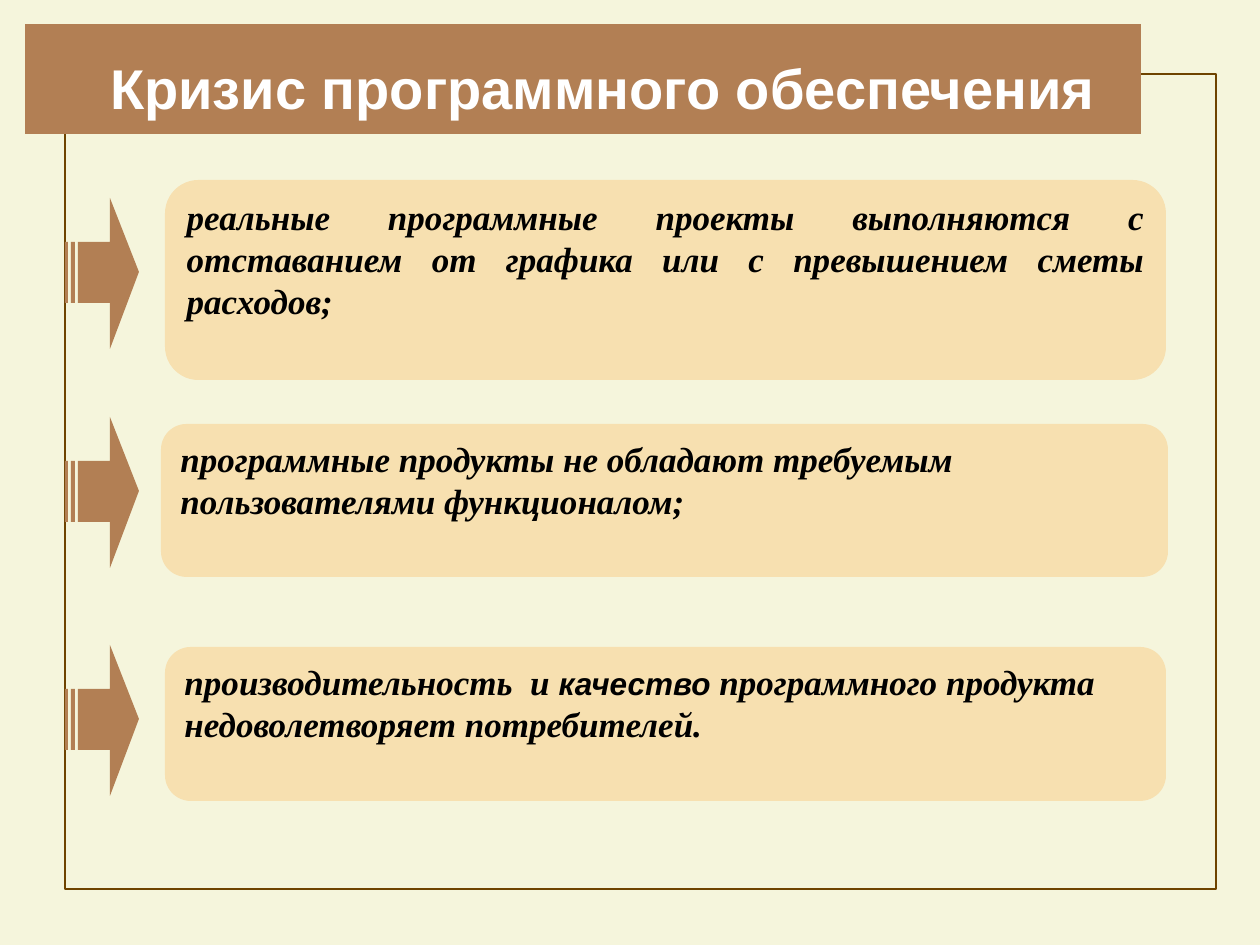
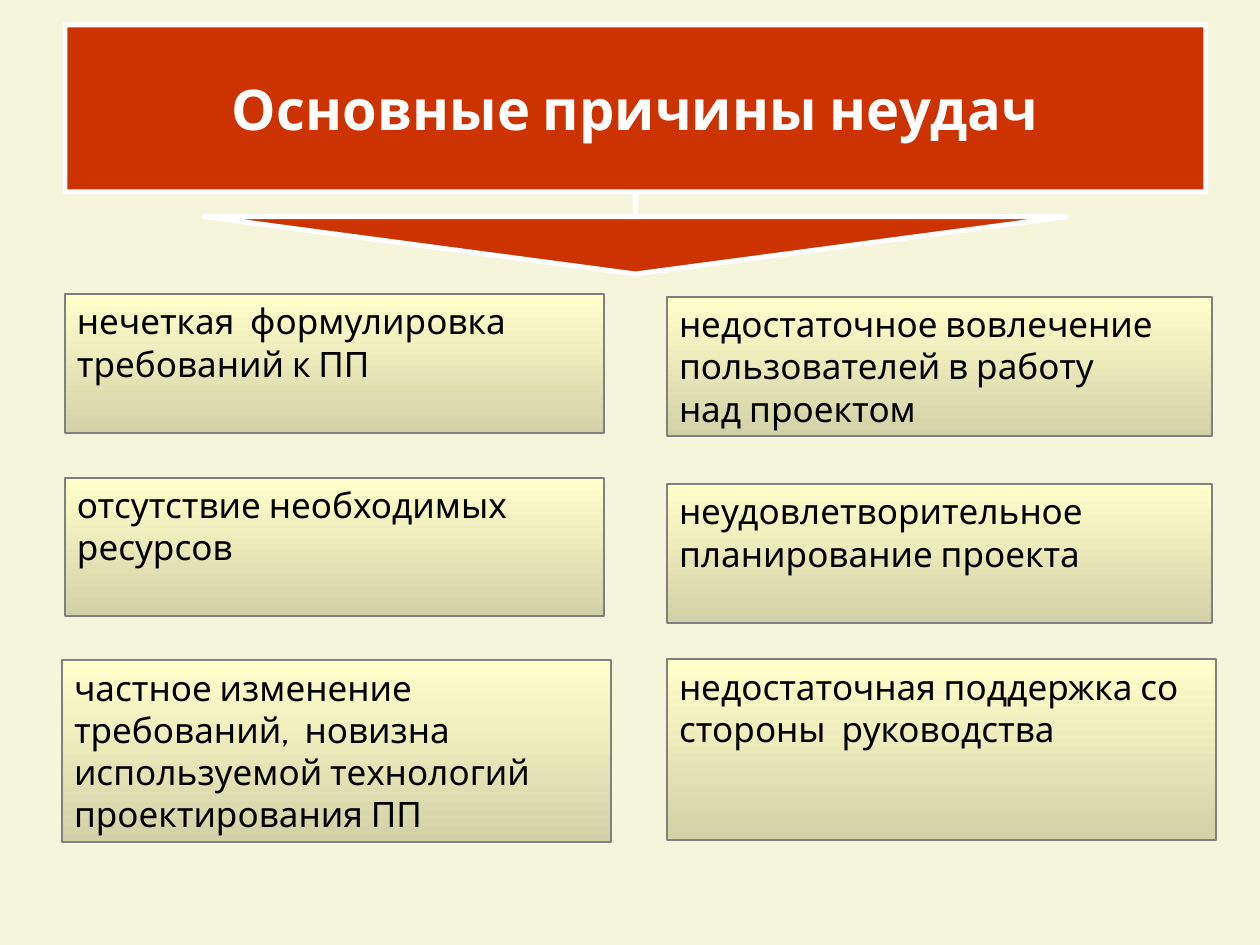
from pptx import Presentation
from pptx.dml.color import RGBColor
from pptx.enum.shapes import MSO_SHAPE
from pptx.enum.text import MSO_ANCHOR, MSO_AUTO_SIZE, PP_ALIGN
from pptx.util import Emu, Pt

# Shared palette, fonts and scale
CREAM = RGBColor(0xF5, 0xF5, 0xDC)
BROWN = RGBColor(0xB2, 0x7F, 0x54)
DARK_BROWN = RGBColor(0x6E, 0x43, 0x00)
SAND = RGBColor(0xF7, 0xE0, 0xB0)
RED = RGBColor(0xCC, 0x33, 0x00)
PALE_YELLOW = RGBColor(0xFF, 0xFF, 0xCC)
OLIVE = RGBColor(0xD2, 0xD2, 0xA8)
GREY = RGBColor(0x80, 0x80, 0x80)
WHITE = RGBColor(0xFF, 0xFF, 0xFF)
BLACK = RGBColor(0x00, 0x00, 0x00)
SERIF, SANS, CABIN = "Times New Roman", "Arial", "Cabin"
EMU_PER_PX = 914400 / 126


def px(length):
    return Emu(round(length * EMU_PER_PX))


def add_card(slide, kind, box, paragraphs, emphasis=False, align=PP_ALIGN.LEFT):
    """Add a card; each paragraph is a list of (text, font, size) runs."""
    card = slide.shapes.add_shape(kind, *map(px, box))
    card.shadow.inherit = False
    frame = card.text_frame
    frame.word_wrap = True
    frame.vertical_anchor = MSO_ANCHOR.TOP
    frame.margin_left = frame.margin_right = px(12)
    frame.margin_top = frame.margin_bottom = px(6)
    for index, runs in enumerate(paragraphs):
        paragraph = frame.add_paragraph() if index else frame.paragraphs[0]
        paragraph.alignment = align
        paragraph.line_spacing = Pt(24)
        for text, font, size in runs:
            run = paragraph.add_run()
            run.text = text
            run.font.name = font
            run.font.size = Pt(size)
            run.font.bold = run.font.italic = emphasis
            run.font.color.rgb = BLACK
    return card


presentation = Presentation()
presentation.slide_width, presentation.slide_height = px(1260), px(945)
background = presentation.slide_master.background.fill
background.solid()
background.fore_color.rgb = CREAM

# Titles of both slides: text, font, place, left and top inset
TITLES = [
    ("Кризис программного обеспечения", SANS, (25, 24, 1116, 110), 40, 16),
    ("Основные причины неудач", CABIN, (65, 25, 1141, 166), 0, 0),
]
slides = []
for text, font, box, inset_left, inset_top in TITLES:
    slide = presentation.slides.add_slide(presentation.slide_layouts[5])
    slides.append(slide)
    title = slide.shapes.title
    title.left, title.top, title.width, title.height = map(px, box)
    frame = title.text_frame
    frame.word_wrap = True
    frame.auto_size = MSO_AUTO_SIZE.NONE
    frame.vertical_anchor = MSO_ANCHOR.MIDDLE
    frame.margin_left, frame.margin_top = px(inset_left), px(inset_top)
    frame.margin_right = frame.margin_bottom = 0
    paragraph = frame.paragraphs[0]
    paragraph.alignment = PP_ALIGN.CENTER
    run = paragraph.add_run()
    run.text = text
    run.font.name = font
    run.font.size = Pt(32)
    run.font.bold = True
    run.font.color.rgb = WHITE
crisis, causes = slides

# Slide 1: title band over a thin frame
band = crisis.shapes.title
band.fill.solid()
band.fill.fore_color.rgb = BROWN
border = crisis.shapes.add_shape(MSO_SHAPE.RECTANGLE, px(65), px(74), px(1151), px(815))
border.shadow.inherit = False
border.fill.background()
border.line.color.rgb = DARK_BROWN
border.line.width = Pt(1.42)
band._element.addprevious(border._element)

# Slide 1: symptoms, each with a striped arrow
SYMPTOMS = [
    ((165, 180, 1001, 200), 198, PP_ALIGN.JUSTIFY, [
        ("реальные программные проекты выполняются с отставанием от графика "
         "или с превышением сметы расходов;", SERIF, 20)]),
    ((161, 424, 1007, 153), 417, PP_ALIGN.LEFT, [
        ("программные продукты не обладают требуемым пользователями "
         "функционалом;", SERIF, 20)]),
    ((165, 647, 1001, 154), 645, PP_ALIGN.LEFT, [
        ("производительность  и ", SERIF, 20),
        ("качество ", SANS, 18),
        ("программного продукта недоволетворяет потребителей.", SERIF, 20)]),
]
ARROW_PARTS = [
    [(110, 0), (139, 74), (110, 151), (110, 105), (78, 105), (78, 44), (110, 44)],
    [(65, 44), (65, 105), (68, 105), (68, 44)],
    [(71, 44), (71, 105), (75, 105), (75, 44)],
]
for box, arrow_top, align, runs in SYMPTOMS:
    card = add_card(crisis, MSO_SHAPE.ROUNDED_RECTANGLE, box, [runs], True, align)
    card.fill.solid()
    card.fill.fore_color.rgb = SAND
    card.line.fill.background()

    builder = None
    for part in ARROW_PARTS:
        start, *corners = [(x, arrow_top + y) for x, y in part]
        if builder is None:
            builder = crisis.shapes.build_freeform(*start, scale=EMU_PER_PX)
        else:
            builder.move_to(*start)
        builder.add_line_segments(corners, close=True)
    arrow = builder.convert_to_shape()
    arrow.shadow.inherit = False
    arrow.fill.solid()
    arrow.fill.fore_color.rgb = BROWN
    arrow.line.fill.background()

# Slide 2: callout behind the title
callout = causes.shapes.add_shape(
    MSO_SHAPE.DOWN_ARROW_CALLOUT, px(65), px(25), px(1141), px(249))
for index, value in enumerate((0, 1.73, 0.23, 0.67)):
    callout.adjustments[index] = value
callout.shadow.inherit = False
callout.fill.solid()
callout.fill.fore_color.rgb = RED
callout.line.color.rgb = WHITE
callout.line.width = Pt(2.83)
causes.shapes.title._element.addprevious(callout._element)

# Slide 2: causes in two columns
CAUSES = [
    ((65, 294, 539, 139), ["нечеткая  формулировка требований к ПП"]),
    ((65, 478, 539, 138), ["отсутствие необходимых ресурсов"]),
    ((62, 660, 549, 182), ["частное изменение требований,  новизна "
                           "используемой технологий проектирования ПП"]),
    ((667, 297, 545, 139), ["недостаточное вовлечение пользователей в работу",
                            "над проектом"]),
    ((667, 484, 545, 139), ["неудовлетворительное планирование проекта"]),
    ((667, 659, 549, 181), ["недостаточная поддержка со стороны  руководства"]),
]
for box, lines in CAUSES:
    card = add_card(causes, MSO_SHAPE.RECTANGLE, box,
                    [[(line, CABIN, 20)] for line in lines])
    card.fill.gradient()
    card.fill.gradient_angle = 270
    for stop, color, position in zip(
            card.fill.gradient_stops, (PALE_YELLOW, OLIVE), (0, 1)):
        stop.color.rgb = color
        stop.position = position
    card.line.color.rgb = GREY
    card.line.width = Pt(0.75)

presentation.save("out.pptx")
